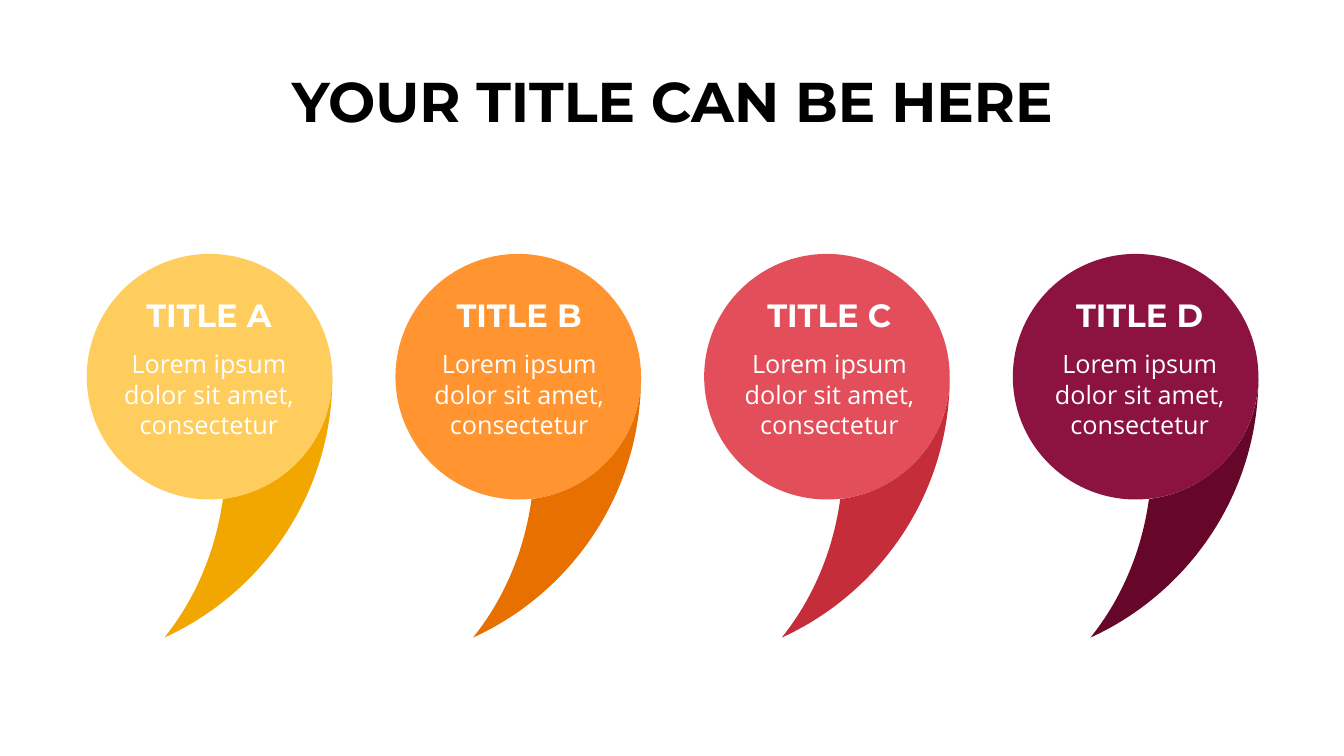
from lxml.etree import SubElement
from pptx import Presentation
from pptx.dml.color import RGBColor
from pptx.enum.shapes import MSO_SHAPE as Preset
from pptx.enum.text import MSO_ANCHOR as Anchor, PP_ALIGN as Align
from pptx.oxml.ns import qn
from pptx.util import Pt

CARDS = [
    ("TITLE A", "FFCC5E", "F2A600"),
    ("TITLE B", "FF9430", "E87000"),
    ("TITLE C", "E24E5A", "C42D39"),
    ("TITLE D", "8C133F", "660729"),
]
BODY = "Lorem ipsum dolor sit amet, consectetur"

CIRCLE_LEFT, CIRCLE_TOP, CIRCLE_SIZE, CIRCLE_PITCH = 62, 181.4, 175.4, 220.5
TEXT_CENTRE, TEXT_PITCH = 149.3, 221.6

TAIL_START = (97.2, 175)
TAIL_CURVES = [
    [(92.2, 211.7), (77.8, 246.2), (55.4, 274)],
    [(126, 241.9), (175.4, 170.6), (175.4, 87.8)],
    [(175.4, 133.2), (141.1, 169.9), TAIL_START],
]

HEADLINE = {"name": "Montserrat", "size": Pt(40), "bold": True}
CARD_TITLE = {"name": "Montserrat", "size": Pt(23), "bold": True}
CARD_BODY = {"name": "Open Sans", "size": Pt(18), "bold": False}


def colour(value):
    return RGBColor.from_string(value)


def paint(shape, fill):
    shape.shadow.inherit = False
    shape.fill.solid()
    shape.fill.fore_color.rgb = colour(fill)
    shape.line.fill.background()


def bend_lines(shape):
    outline = next(shape.element.iter(qn("a:pathLst")))[0]
    lines = outline.findall(qn("a:lnTo"))
    close = outline.find(qn("a:close"))
    outline.remove(close)
    for first in range(0, len(lines), 3):
        curve = SubElement(outline, qn("a:cubicBezTo"))
        for line in lines[first:first + 3]:
            curve.append(line[0])
            outline.remove(line)
    outline.append(close)


def add_circle(shapes, left, fill):
    circle = shapes.add_shape(
        Preset.OVAL, Pt(left), Pt(CIRCLE_TOP), Pt(CIRCLE_SIZE), Pt(CIRCLE_SIZE)
    )
    paint(circle, fill)


def add_tail(shapes, left, fill):
    def place(point):
        return Pt(left + point[0]), Pt(CIRCLE_TOP + point[1])

    builder = shapes.build_freeform(*place(TAIL_START))
    points = [place(point) for curve in TAIL_CURVES for point in curve]
    builder.add_line_segments(points, close=True)
    tail = builder.convert_to_shape()
    bend_lines(tail)
    paint(tail, fill)


def add_text(shapes, text, area, font, ink, insets=(0, 0)):
    box = shapes.add_textbox(*(Pt(length) for length in area))
    frame = box.text_frame
    side, edge = (Pt(inset) for inset in insets)
    layout = {
        "word_wrap": True,
        "vertical_anchor": Anchor.TOP,
        "margin_left": side,
        "margin_right": side,
        "margin_top": edge,
        "margin_bottom": edge,
    }
    for name, value in layout.items():
        setattr(frame, name, value)
    para = frame.paragraphs[0]
    para.alignment = Align.CENTER
    span = para.add_run()
    span.text = text
    for name, value in font.items():
        setattr(span.font, name, value)
    span.font.color.rgb = colour(ink)


def add_card(page, index, title, fill, tail_fill):
    shapes = page.shapes.add_group_shape().shapes
    left = CIRCLE_LEFT + index * CIRCLE_PITCH
    centre = TEXT_CENTRE + index * TEXT_PITCH
    add_circle(shapes, left, fill)
    add_tail(shapes, left, tail_fill)
    add_text(shapes, title, (centre - 52.5, 210.6, 105, 35.3), CARD_TITLE, "FFFFFF")
    add_text(
        shapes, BODY, (centre - 69.1, 245.5, 138.2, 72.7), CARD_BODY, "FFFFFF",
        insets=(7.2, 3.6),
    )


def main():
    deck = Presentation()
    deck.slide_width, deck.slide_height = Pt(960), Pt(540)
    page = deck.slides.add_slide(deck.slide_layouts[6])
    add_text(
        page.shapes, "YOUR TITLE CAN BE HERE", (121, 47.5, 718.5, 49.7),
        HEADLINE, "000000",
    )
    for index, card in enumerate(CARDS):
        add_card(page, index, *card)
    deck.save("out.pptx")


if __name__ == "__main__":
    main()
